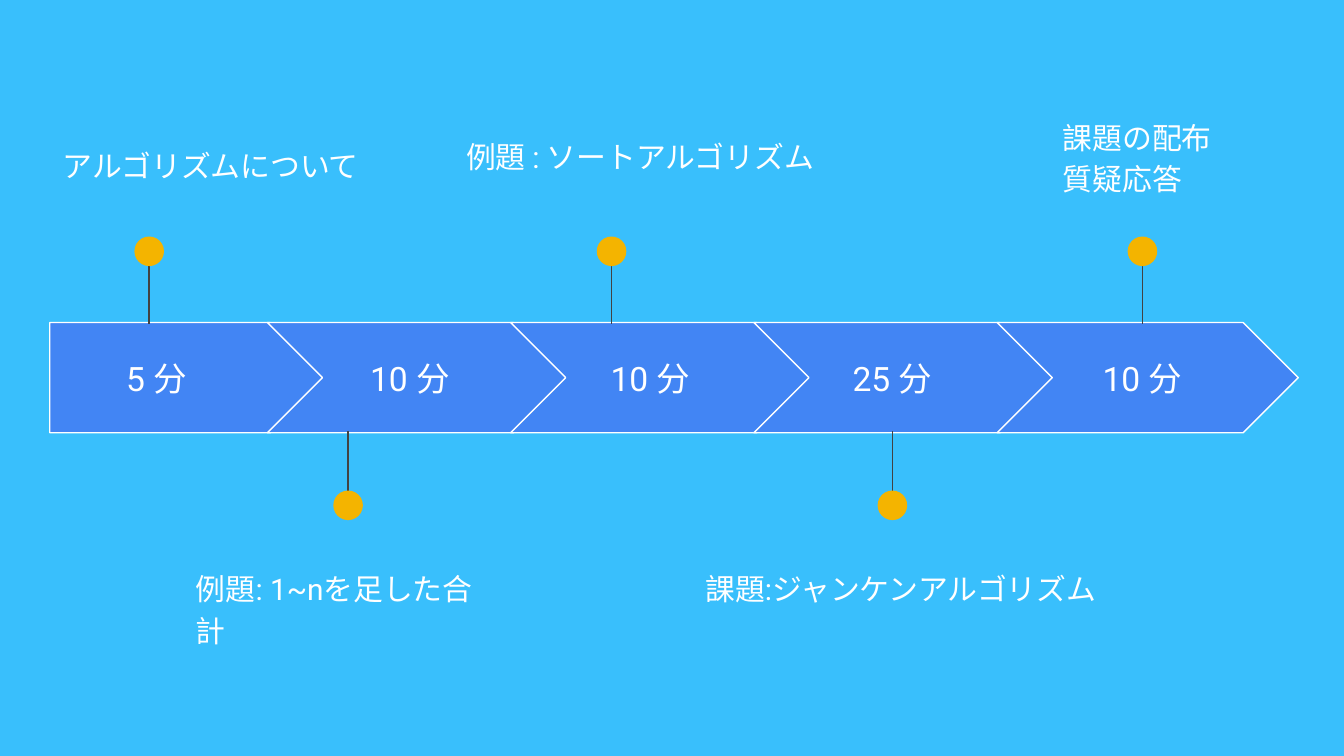
from dataclasses import dataclass

from lxml import etree
from pptx import Presentation
from pptx.dml.color import RGBColor
from pptx.enum.shapes import MSO_CONNECTOR, MSO_SHAPE
from pptx.enum.text import MSO_ANCHOR, PP_ALIGN
from pptx.oxml.ns import qn
from pptx.util import Inches, Pt

PENTAGON, CHEVRON, OVAL = MSO_SHAPE.PENTAGON, MSO_SHAPE.CHEVRON, MSO_SHAPE.OVAL
STRAIGHT = MSO_CONNECTOR.STRAIGHT
TOP, MIDDLE = MSO_ANCHOR.TOP, MSO_ANCHOR.MIDDLE
LEFT, CENTER = PP_ALIGN.LEFT, PP_ALIGN.CENTER


@dataclass(frozen=True)
class Theme:
    back: str = "39BFFC"
    band: str = "4285F4"
    edge: str = "FFFFFF"
    text: str = "FFFFFF"
    stem: str = "424242"
    dot: str = "F4B400"
    font: str = "Roboto"
    time: int = 18
    label: int = 16
    line: float = 0.75


def color(code):
    return RGBColor.from_string(code)


def apply(target, values):
    for name, value in values.items():
        setattr(target, name, value)


class Board:
    def __init__(self, slide, theme):
        self.slide, self.theme = slide, theme
        fill = slide.background.fill
        fill.solid()
        fill.fore_color.rgb = color(theme.back)

    def shape(self, kind, box, fill, edge=None):
        item = self.slide.shapes.add_shape(kind, *map(Inches, box))
        item.shadow.inherit = False
        item.fill.solid()
        item.fill.fore_color.rgb = color(fill)
        if edge:
            item.line.color.rgb = color(edge)
            item.line.width = Pt(self.theme.line)
        else:
            item.line.fill.background()
        return item

    def stem(self, x, start, end):
        item = self.slide.shapes.add_connector(
            STRAIGHT, *map(Inches, (x, start, x, end)))
        item.line.color.rgb = color(self.theme.stem)
        item.line.width = Pt(self.theme.line)
        etree.SubElement(item._element.spPr, qn("a:effectLst"))
        return item

    def pin(self, x, start, end, top):
        stem = self.stem(x, start, end)
        dot = self.shape(OVAL, (x - DOT / 2, top, DOT, DOT), self.theme.dot)
        self.slide.shapes.add_group_shape([stem, dot])

    def text(self, words, box, size, anchor, **layout):
        frame = self.slide.shapes.add_textbox(*map(Inches, box)).text_frame
        pad = Inches(0.1)
        apply(frame, dict(word_wrap=True, vertical_anchor=anchor,
                          margin_left=pad, margin_right=pad,
                          margin_top=pad, margin_bottom=pad))
        para = frame.paragraphs[0]
        para.text = words
        apply(para, layout)
        for run in para.runs:
            apply(run.font, dict(name=self.theme.font, size=Pt(size)))
            run.font.color.rgb = color(self.theme.text)


# Band and pin geometry
BAND_TOP, BAND_HIGH, STEP = 2.4, 0.82, 1.81
DOT = 0.22

# Time, its left and width, pin centre, pin above, label, label box, anchor, spacing
STAGES = [
    ("5 分", 0.37, 1.59, 1.11, True, "アルゴリズムについて",
     (0.37, 1.06, 2.45, 0.34), MIDDLE, 1.0),
    ("10 分", 2.33, 1.44, 2.59, False, "例題: 1~nを足した合計",
     (1.36, 4.11, 2.45, 0.99), TOP, 1.15),
    ("10 分", 4.12, 1.44, 4.55, True, "例題 : ソートアルゴリズム",
     (3.37, 0.89, 2.93, 0.51), TOP, 1.15),
    ("25 分", 5.92, 1.44, 6.64, False, "課題:ジャンケンアルゴリズム",
     (5.15, 4.11, 3.16, 0.51), TOP, 1.15),
    ("10 分", 7.78, 1.44, 8.5, True, "課題の配布\n質疑応答",
     (7.81, 0.75, 1.37, 0.65), TOP, 1.15),
]


def main():
    # Widescreen page, 16 by 9
    deck = Presentation()
    deck.slide_width = Inches(10)
    deck.slide_height = Inches(10) * 9 // 16
    theme = Theme()
    board = Board(deck.slides.add_slide(deck.slide_layouts[6]), theme)

    for i, (time, left, wide, pin, above, label, box, anchor, space) in enumerate(STAGES):
        # Arrow segment
        if i == 0:
            kind, x, span = PENTAGON, 0.37, 2.05
        else:
            kind, x, span = CHEVRON, 1.99 + (i - 1) * STEP, 2.24
        board.shape(kind, (x, BAND_TOP, span, BAND_HIGH), theme.band, theme.edge)
        board.text(time, (left, 2.56, wide, 0.51), theme.time, MIDDLE,
                   alignment=CENTER)

        # Pin
        start, end, top = (1.8, 2.41, 1.76) if above else (3.82, 3.21, 3.65)
        board.pin(pin, start, end, top)

        # Label
        board.text(label, box, theme.label, anchor, alignment=LEFT,
                   line_spacing=space, space_after=Pt(16))

    deck.save("out.pptx")


if __name__ == "__main__":
    main()
